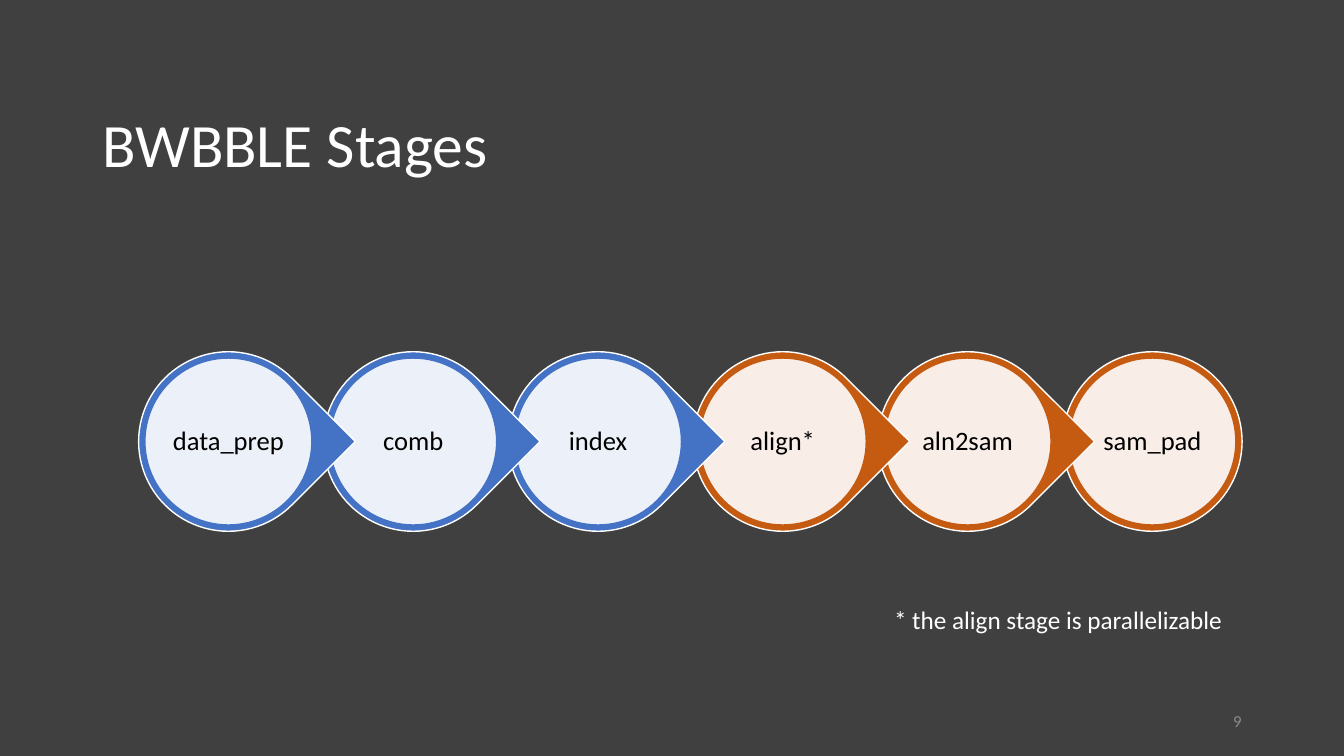
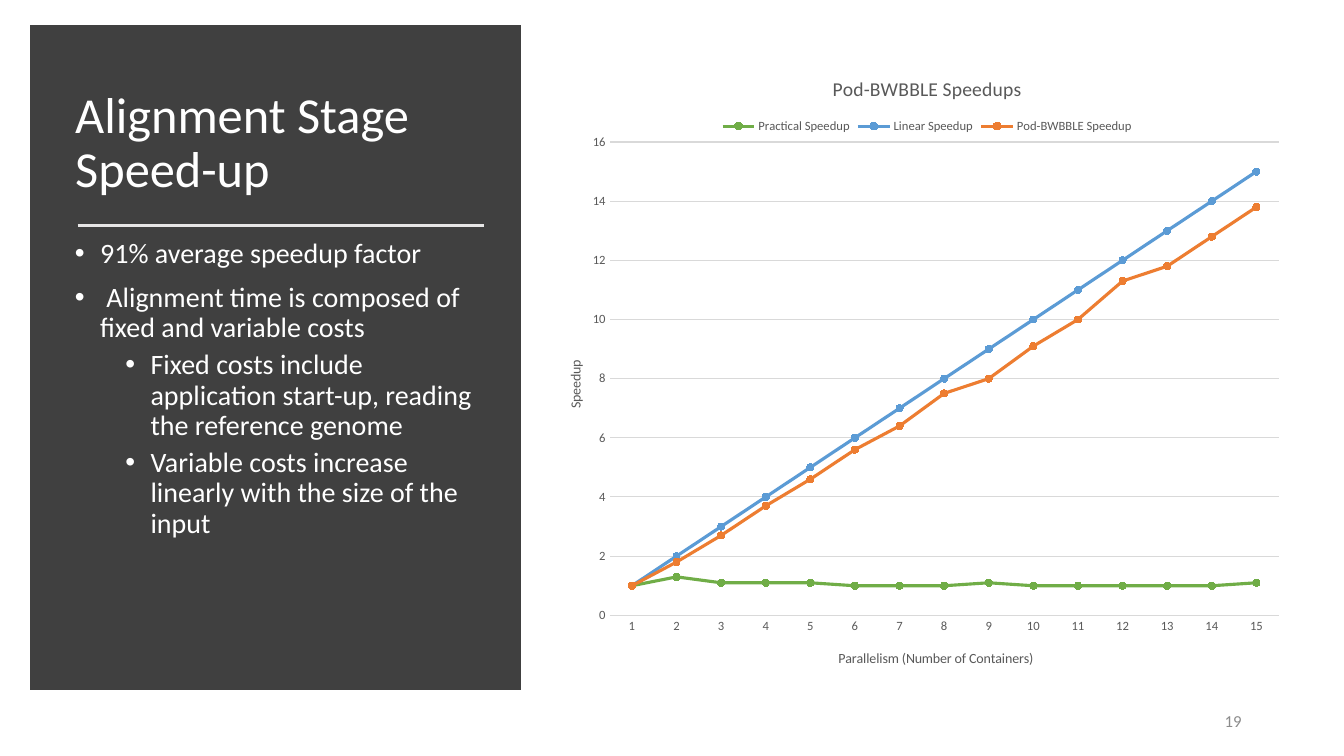
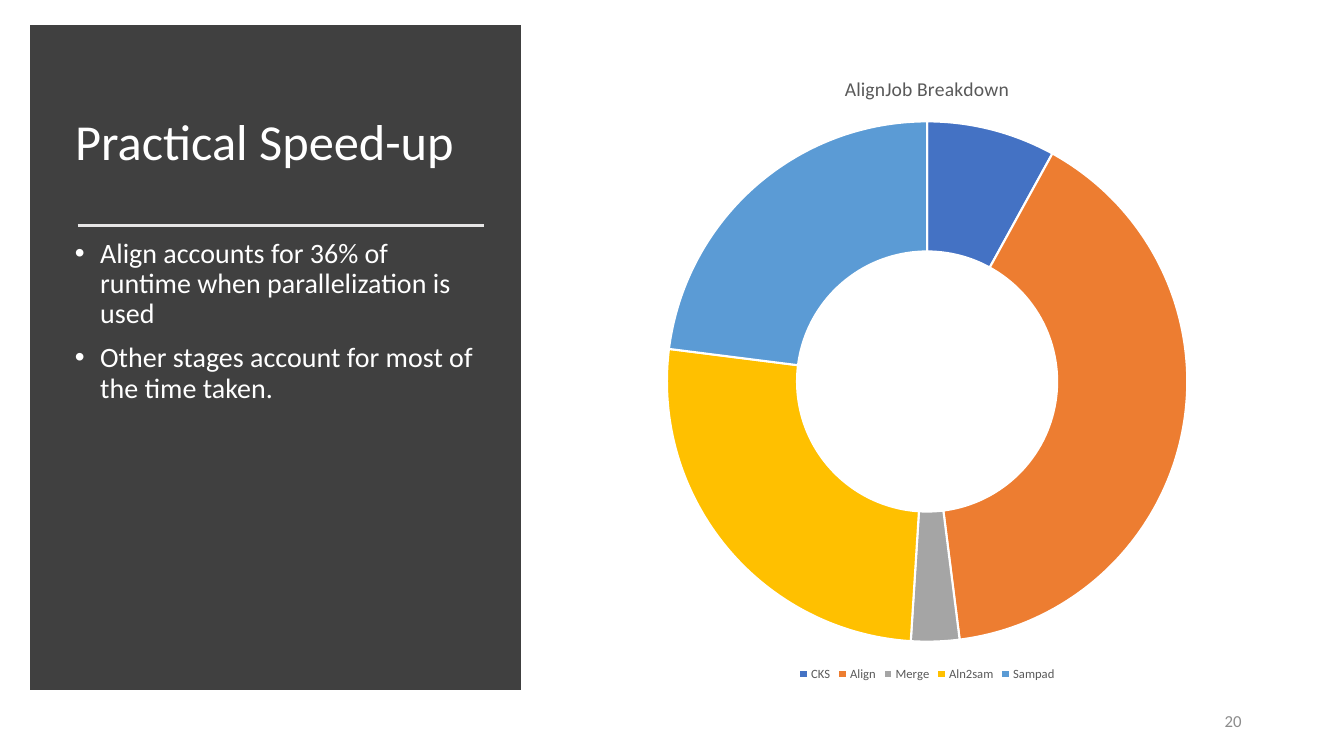
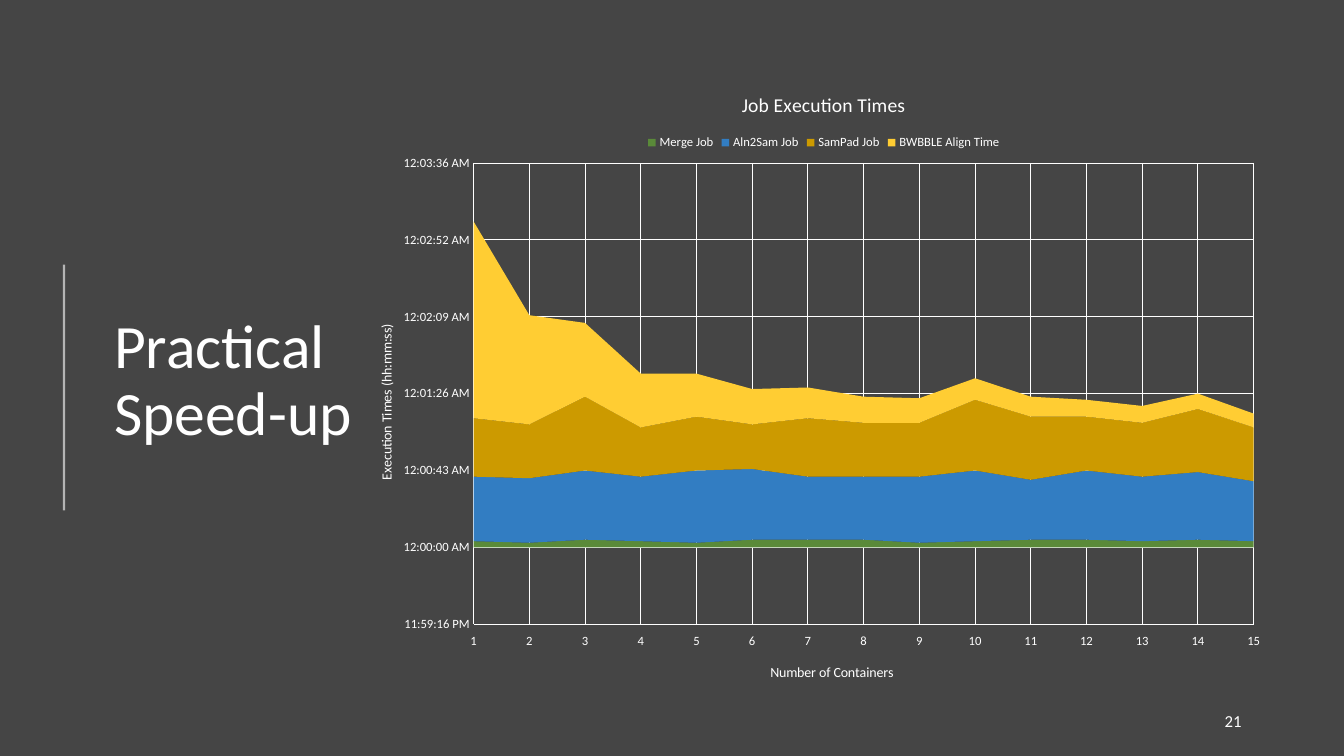
from lxml import etree
from pptx import Presentation
from pptx import util as u
from pptx.chart import data as chart_data
from pptx.dml.color import RGBColor
from pptx.enum import chart as ch, shapes, text
from pptx.oxml import parse_xml
from pptx.oxml.ns import nsdecls, qn

PX = 9525  # EMU per px, 96 px to the inch


class Theme:
    font = "Calibri"
    white, black, paper = "FFFFFF", "000000", "FFFFFF"
    dark, charcoal = "404040", "454545"
    blue, rust, rule = "4472C4", "C55A11", "E7E6E6"
    muted, label, grid = "8C8C8C", "595959", "D9D9D9"
    title, panel_title, body, stage, note, small = 44, 36, 20, 19, 18, 12
    chart_title, axis_title, tick = 14, 10, 9


def px(*lengths):
    return [u.Emu(length * PX) for length in lengths]


def write(frame, lines, size, color, align=None, spacing=None):
    """Fill a text frame; lines are (level, text), level None has no bullet."""
    for i, (level, line) in enumerate(lines):
        p = frame.paragraphs[0] if i == 0 else frame.add_paragraph()
        p.text = line
        p.alignment = align
        p.line_spacing = spacing
        if level is not None:
            p.level = level
            p.space_before = u.Pt(5 if level else 10)
            props = p._p.get_or_add_pPr()
            props.set("marL", str((24 + 48 * level) * PX))
            props.set("indent", str(-24 * PX))
            etree.SubElement(props, qn("a:buFont")).set("typeface", "Arial")
            etree.SubElement(props, qn("a:buChar")).set("char", "•")
        p.font.name = Theme.font
        p.font.size = u.Pt(size)
        p.font.bold = False
        p.font.color.rgb = RGBColor.from_string(color)


deck = Presentation()
deck.slide_width, deck.slide_height = px(1280, 720)

# Backgrounds, titles and slide numbers
PANEL_TITLE = (62, 67, 401, 141)
slides = []
for ground, title, place, size, number, number_color in [
    (Theme.dark, "BWBBLE Stages", (88, 71, 1104, 139), Theme.title, "9", Theme.muted),
    (Theme.paper, "Alignment Stage Speed-up", PANEL_TITLE, Theme.panel_title, "19", Theme.muted),
    (Theme.paper, "Practical Speed-up", PANEL_TITLE, Theme.panel_title, "20", Theme.muted),
    (Theme.charcoal, "Practical Speed-up", (99, 75, 354, 578), Theme.title, "21", Theme.white),
]:
    slide = deck.slides.add_slide(deck.slide_layouts[5])
    slide.background.fill.solid()
    slide.background.fill.fore_color.rgb = RGBColor.from_string(ground)
    if place == PANEL_TITLE:
        panel = slide.shapes.add_shape(shapes.MSO_SHAPE.RECTANGLE, *px(35, 31, 455, 620))
        panel.shadow.inherit = False
        panel.fill.solid()
        panel.fill.fore_color.rgb = panel.line.color.rgb = RGBColor.from_string(Theme.dark)
        panel.line.width = u.Pt(10)
        outline = panel._element.xpath(".//a:ln")[0]
        etree.SubElement(outline, qn("a:miter")).set("lim", "800000")
        slide.shapes._spTree.remove(panel._element)
        slide.shapes._spTree.insert(2, panel._element)  # behind the title
    heading = slide.shapes.title
    heading.left, heading.top, heading.width, heading.height = px(*place)
    heading.text_frame.auto_size = text.MSO_AUTO_SIZE.NONE
    heading.text_frame.vertical_anchor = text.MSO_ANCHOR.MIDDLE
    write(heading.text_frame, [(None, title)], size, Theme.white, text.PP_ALIGN.LEFT, 0.9)
    page = slide.shapes.add_textbox(*px(904, 667, 288, 38)).text_frame
    page.word_wrap = True
    page.vertical_anchor = text.MSO_ANCHOR.MIDDLE
    write(page, [(None, number)], Theme.small, number_color, text.PP_ALIGN.RIGHT)
    slides.append(slide)
stages_slide, alignment_slide, breakdown_slide, times_slide = slides

# Stage chain, last stage at the back
stages = ["data_prep", "comb", "index", "align*", "aln2sam", "sam_pad"]
for i, stage in reversed(list(enumerate(stages))):
    color = RGBColor.from_string(Theme.blue if i < 3 else Theme.rust)
    white = RGBColor.from_string(Theme.white)
    last = i == len(stages) - 1
    left = 132 + 176 * i
    outer_kind = shapes.MSO_SHAPE.OVAL if last else shapes.MSO_SHAPE.TEAR
    outer = stages_slide.shapes.add_shape(outer_kind, *px(left, 335, 171, 171))
    outer.rotation = 0 if last else 45
    inner = stages_slide.shapes.add_shape(shapes.MSO_SHAPE.OVAL, *px(left + 6, 341, 159, 159))
    for disc, fill, line in [(outer, color, white), (inner, white, color)]:
        disc.shadow.inherit = False
        disc.fill.solid()
        disc.fill.fore_color.rgb = fill
        disc.line.color.rgb = line
        disc.line.width = u.Pt(1)
    tint = inner._element.xpath("./p:spPr/a:solidFill/a:srgbClr")[0]
    etree.SubElement(tint, qn("a:alpha")).set("val", "90000")
    label = inner.text_frame
    label.margin_left, label.margin_top, label.margin_right, label.margin_bottom = px(3, 3, 3, 3)
    label.vertical_anchor = text.MSO_ANCHOR.MIDDLE
    write(label, [(None, stage)], Theme.stage, Theme.black, text.PP_ALIGN.CENTER, 0.9)

footnote = stages_slide.shapes.add_textbox(*px(842, 571, 412, 38)).text_frame
footnote.word_wrap = True
write(footnote, [(None, "* the align stage is parallelizable")], Theme.note, Theme.white)

# Rules beside and below titles
for slide, ends, color, width, opacity in [
    (alignment_slide, (74, 215, 461, 215), Theme.rule, 1.75, 100),
    (breakdown_slide, (74, 215, 461, 215), Theme.rule, 1.75, 100),
    (times_slide, (61, 252, 61, 486), Theme.white, 1.5, 60),
]:
    rule = slide.shapes.add_connector(shapes.MSO_CONNECTOR.STRAIGHT, *px(*ends))
    rule.line.color.rgb = RGBColor.from_string(color)
    rule.line.width = u.Pt(width)
    if opacity < 100:
        ink = rule._element.xpath(".//a:ln//a:srgbClr")[0]
        etree.SubElement(ink, qn("a:alpha")).set("val", str(opacity * 1000))
    etree.SubElement(rule._element.spPr, qn("a:effectLst"))

# Panel bullets
for slide, points in [
    (alignment_slide, [
        (0, "91% average speedup factor"),
        (0, " Alignment time is composed of fixed and variable costs"),
        (1, "Fixed costs include application start-up, reading the reference genome"),
        (1, "Variable costs increase linearly with the size of the input"),
    ]),
    (breakdown_slide, [
        (0, "Align accounts for 36% of runtime when parallelization is used"),
        (0, "Other stages account for most of the time taken."),
    ]),
]:
    bullets = slide.shapes.add_textbox(*px(62, 223, 401, 396)).text_frame
    bullets.word_wrap = True
    write(bullets, points, Theme.body, Theme.white, spacing=0.9)

# Chart data: series are (name, colour, values)
containers = [str(n) for n in range(1, 16)]
speedups = [
    ("Practical Speedup", "70AD47",
     [1, 1.3, 1.1, 1.1, 1.1, 1, 1, 1, 1.1, 1, 1, 1, 1, 1, 1.1]),
    ("Linear Speedup", "5B9BD5", list(range(1, 16))),
    ("Pod-BWBBLE Speedup", "ED7D31",
     [1, 1.8, 2.7, 3.7, 4.6, 5.6, 6.4, 7.5, 8, 9.1, 10, 11.3, 11.8, 12.8, 13.8]),
]
job_parts = ["CKS", "Align", "Merge", "Aln2sam", "Sampad"]
job_colors = ["4472C4", "ED7D31", "A5A5A5", "FFC000", "5B9BD5"]
job_shares = [("Series 1", None, [8, 40, 3, 26, 23])]
job_times = [  # in units of 0.00001 day
    ("Merge Job", "5A8A39", [4, 3, 5, 4, 3, 5, 5, 5, 3, 4, 5, 5, 4, 5, 4]),
    ("Aln2Sam Job", "327DC2",
     [42, 42, 45, 42, 47, 46, 41, 41, 43, 46, 39, 45, 42, 44, 39]),
    ("SamPad Job", "CC9A00",
     [38, 35, 48, 32, 35, 29, 38, 35, 35, 46, 41, 35, 35, 41, 35]),
    ("BWBBLE Align Time", "FFCD33",
     [128, 71, 48, 35, 28, 23, 20, 17, 16, 14, 13, 11, 11, 10, 9]),
]
job_times = [(name, color, [v / 100000 for v in vals]) for name, color, vals in job_times]

# Charts
LINE, RING, AREA = (ch.XL_CHART_TYPE.LINE_MARKERS, ch.XL_CHART_TYPE.DOUGHNUT,
                    ch.XL_CHART_TYPE.AREA_STACKED)
BESIDE_PANEL = (537, 51, 692, 602)
for slide, kind, place, title, cats, rows, ink, grid, axis_titles, plot_area in [
    (alignment_slide, LINE, BESIDE_PANEL, "Pod-BWBBLE Speedups", containers, speedups,
     Theme.label, Theme.grid, ("Parallelism (Number of Containers)", "Speedup"),
     (0.063, 0.14, 0.921, 0.749)),
    (breakdown_slide, RING, BESIDE_PANEL, "AlignJob Breakdown", job_parts, job_shares,
     Theme.label, None, None, None),
    (times_slide, AREA, (357, 67, 855, 585), "Job Execution Times", containers, job_times,
     Theme.white, Theme.white, ("Number of Containers", "Execution Times (hh:mm:ss)"),
     (0.11, 0.151, 0.869, 0.751)),
]:
    table = chart_data.CategoryChartData()
    table.categories = cats
    for name, _, values in rows:
        table.add_series(name, values)
    chart = slide.shapes.add_chart(kind, *px(*place), table).chart
    chart.font.name = Theme.font
    chart.font.size = u.Pt(Theme.tick)
    chart.font.color.rgb = RGBColor.from_string(ink)
    chart.has_title = True
    write(chart.chart_title.text_frame, [(None, title)], Theme.chart_title, ink)
    chart.chart_title.include_in_layout = False
    chart.has_legend = True
    chart.legend.position = (ch.XL_LEGEND_POSITION.BOTTOM if kind == RING
                             else ch.XL_LEGEND_POSITION.TOP)
    chart.legend.include_in_layout = False
    plot = chart.plots[0]
    plot.vary_by_categories = kind == RING

    if kind == RING:
        chart._chartSpace.xpath(".//c:holeSize")[0].set("val", "75")
        for i, color in enumerate(job_colors):
            wedge = plot.series[0].points[i].format
            wedge.fill.solid()
            wedge.fill.fore_color.rgb = RGBColor.from_string(color)
            wedge.line.color.rgb = RGBColor.from_string(Theme.white)
            wedge.line.width = u.Pt(1.5)
        continue

    for series, (_, color, _) in zip(plot.series, rows):
        color = RGBColor.from_string(color)
        if kind == AREA:
            series.format.fill.solid()
            series.format.fill.fore_color.rgb = color
            continue
        series.smooth = False
        series.format.line.color.rgb = color
        series.format.line.width = u.Pt(2.25)
        series.marker.style = ch.XL_MARKER_STYLE.CIRCLE
        series.marker.size = 5
        series.marker.format.fill.solid()
        series.marker.format.fill.fore_color.rgb = color
        series.marker.format.line.color.rgb = color

    # Axes and plot area
    grid_color = RGBColor.from_string(grid)
    for axis, axis_title in zip((chart.category_axis, chart.value_axis), axis_titles):
        vertical = axis_title == axis_titles[1]
        axis.major_tick_mark = axis.minor_tick_mark = ch.XL_TICK_MARK.NONE
        write(axis.axis_title.text_frame, [(None, axis_title)], Theme.axis_title, ink)
        axis.has_major_gridlines = vertical or kind == AREA
        lines = [axis.major_gridlines.format.line] if axis.has_major_gridlines else []
        if vertical and kind == LINE:
            axis.format.line.fill.background()
        else:
            lines.append(axis.format.line)
        for line in lines:
            line.color.rgb = grid_color
            line.width = u.Pt(0.75)
    turned = chart._chartSpace.xpath(".//c:valAx/c:title//a:bodyPr")[0]
    turned.set("rot", "-5400000")
    turned.set("vert", "horz")
    if kind == AREA:
        chart.category_axis.tick_label_position = ch.XL_TICK_LABEL_POSITION.LOW
        chart.value_axis.minimum_scale = -0.0005
        chart.value_axis.maximum_scale = 0.0025
        chart.value_axis.major_unit = 0.0005
        chart.value_axis.tick_labels.number_format = r"[$-F400]h:mm:ss\ AM/PM"
        chart.value_axis.tick_labels.number_format_is_linked = False
        chart._chartSpace.xpath(".//c:valAx/c:crossBetween")[0].set("val", "midCat")
    area = chart._chartSpace.xpath(".//c:plotArea")[0]
    for old in area.xpath("./c:layout"):
        area.remove(old)
    sides = "".join(f'<c:{side} val="{share}"/>' for side, share in zip("xywh", plot_area))
    area.insert(0, parse_xml(
        f'<c:layout {nsdecls("c")}><c:manualLayout><c:layoutTarget val="inner"/>'
        f'<c:xMode val="edge"/><c:yMode val="edge"/>{sides}</c:manualLayout></c:layout>'))

deck.save("out.pptx")
